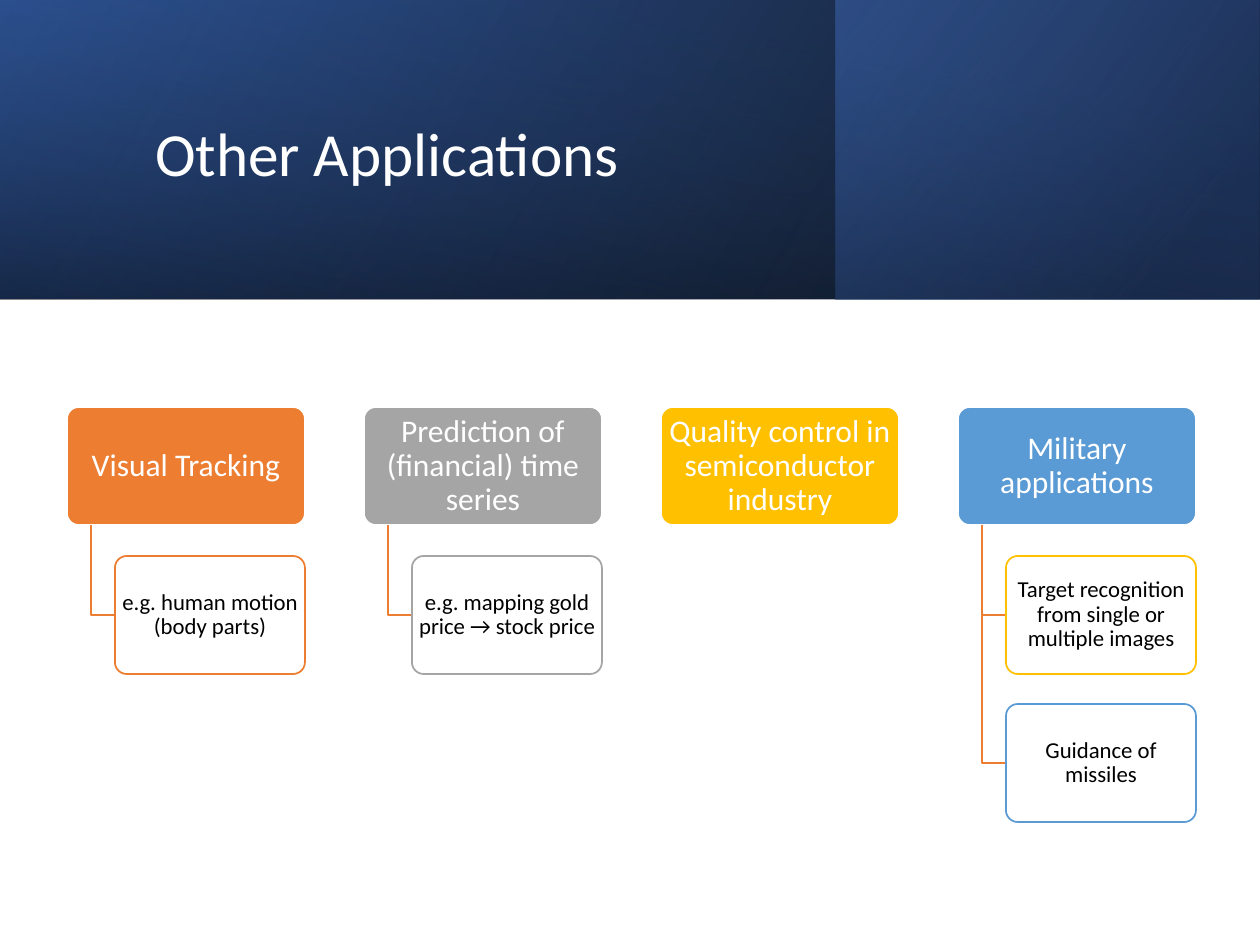
from dataclasses import dataclass

from lxml import etree
from pptx import Presentation
from pptx.dml.color import RGBColor
from pptx.enum.shapes import MSO_SHAPE
from pptx.enum.text import MSO_ANCHOR, PP_ALIGN
from pptx.oxml import parse_xml
from pptx.oxml.ns import qn
from pptx.util import Pt

RECT, ROUND = MSO_SHAPE.RECTANGLE, MSO_SHAPE.ROUNDED_RECTANGLE
MIDDLE = MSO_ANCHOR.MIDDLE
LEFT, CENTER = PP_ALIGN.LEFT, PP_ALIGN.CENTER
DRAWING_NS = "http://schemas.openxmlformats.org/drawingml/2006/main"


@dataclass(frozen=True)
class Theme:
    font: str = "Calibri"
    title_size: int = 35
    head_size: int = 18
    child_size: int = 13
    white: str = "FFFFFF"
    black: str = "000000"
    navy: str = "203864"
    deep_blue: str = "2F5597"
    blue: str = "4472C4"
    orange: str = "ED7D31"
    gray: str = "A5A5A5"
    gold: str = "FFC000"
    sky: str = "5B9BD5"


T = Theme()

# Column grid, in px
COL_LEFT, COL_PITCH = 67, 297
HEAD_TOP, HEAD_W, BOX_H = 407, 238, 118
CHILD_TOP, CHILD_PITCH = 556, 148
CHILD_INDENT, CHILD_W = 48, 190
STEM_INDENT = CHILD_INDENT // 2

# Text insets, in px; rounded corners add about 4 px to those of the boxes
TITLE_INSET, HEAD_INSET, CHILD_INSET, V_INSET = 13, 3, 2, 2

# Heading, fill, and children as (text, outline)
COLUMNS = [
    ("Visual Tracking", T.orange,
     [("e.g. human motion (body parts)", T.orange)]),
    ("Prediction of (financial) time series", T.gray,
     [("e.g. mapping gold price → stock price", T.gray)]),
    ("Quality control in semiconductor industry", T.gold, []),
    ("Military applications", T.sky,
     [("Target recognition from single or multiple images", T.gold),
      ("Guidance of missiles", T.sky)]),
]


def px(n):
    return round(n * 914400 / 126)


def rgb(color):
    return RGBColor.from_string(color)


def set_text(s, text, size, color, align, inset):
    tf = s.text_frame
    tf.word_wrap = True
    tf.vertical_anchor = MIDDLE
    tf.margin_left = tf.margin_right = px(inset)
    tf.margin_top = tf.margin_bottom = px(V_INSET)
    p = tf.paragraphs[0]
    p.text = text
    p.alignment = align
    p.line_spacing = 0.9
    p.font.name = T.font
    p.font.size = Pt(size)
    p.font.color.rgb = rgb(color)


def add_gradient(slide, box, angle, stops):
    """Rectangle with a linear gradient; stops are (position, color, opacity) in %."""
    s = slide.shapes.add_shape(RECT, *map(px, box))
    s.shadow.inherit = False
    s.line.fill.background()
    s.fill.background()
    gs = "".join(
        f'<a:gs pos="{pos * 1000}"><a:srgbClr val="{color}">'
        f'<a:alpha val="{opacity * 1000}"/></a:srgbClr></a:gs>'
        for pos, color, opacity in stops)
    grad = parse_xml(
        f'<a:gradFill xmlns:a="{DRAWING_NS}" rotWithShape="1"><a:gsLst>{gs}</a:gsLst>'
        f'<a:lin ang="{angle * 60000}" scaled="0"/></a:gradFill>')
    sp_pr = s._element.spPr
    sp_pr.replace(sp_pr.find(qn("a:noFill")), grad)


def add_box(slide, box, text, size, color, fill, outline, inset, opacity=100):
    s = slide.shapes.add_shape(ROUND, *map(px, box))
    s.adjustments[0] = 0.1
    s.shadow.inherit = False
    s.fill.solid()
    s.fill.fore_color.rgb = rgb(fill)
    if opacity < 100:
        clr = s._element.spPr.find(qn("a:solidFill"))[0]
        etree.SubElement(clr, qn("a:alpha")).set("val", str(opacity * 1000))
    s.line.color.rgb = rgb(outline)
    s.line.width = Pt(1)
    set_text(s, text, size, color, CENTER, inset)


def add_elbow(slide, x, top, bottom, right):
    outline = slide.shapes.build_freeform(px(x), px(top))
    outline.add_line_segments([(px(x), px(bottom)), (px(right), px(bottom))], close=False)
    s = outline.convert_to_shape()
    s.shadow.inherit = False
    s.fill.background()
    s.line.color.rgb = rgb(T.orange)
    s.line.width = Pt(1)


def add_banner(slide):
    add_gradient(slide, (0, 0, 1260, 299), 210,
                 [(0, T.black, 96), (100, T.deep_blue, 100)])
    add_gradient(slide, (836, 0, 423, 299), 220,
                 [(19, T.navy, 68), (100, T.blue, 48)])
    add_gradient(slide, (0, 0, 1260, 299), 100,
                 [(23, T.deep_blue, 16), (99, T.black, 45)])
    title = slide.shapes.add_textbox(*map(px, (142, 48, 1004, 217)))
    set_text(title, "Other Applications", T.title_size, T.white, LEFT, TITLE_INSET)


def add_column(slide, left, heading, fill, children):
    add_box(slide, (left, HEAD_TOP, HEAD_W, BOX_H), heading,
            T.head_size, T.white, fill, T.white, HEAD_INSET)
    child_left = left + CHILD_INDENT
    for i, (text, outline) in enumerate(children):
        top = CHILD_TOP + i * CHILD_PITCH
        add_elbow(slide, left + STEM_INDENT, HEAD_TOP + BOX_H, top + BOX_H // 2, child_left)
        add_box(slide, (child_left, top, CHILD_W, BOX_H), text,
                T.child_size, T.black, T.white, outline, CHILD_INSET, opacity=90)


def main():
    prs = Presentation()
    prs.slide_width, prs.slide_height = px(1260), px(945)
    slide = prs.slides.add_slide(prs.slide_layouts[6])
    add_banner(slide)
    for i, column in enumerate(COLUMNS):
        add_column(slide, COL_LEFT + i * COL_PITCH, *column)
    prs.save("out.pptx")


if __name__ == "__main__":
    main()
